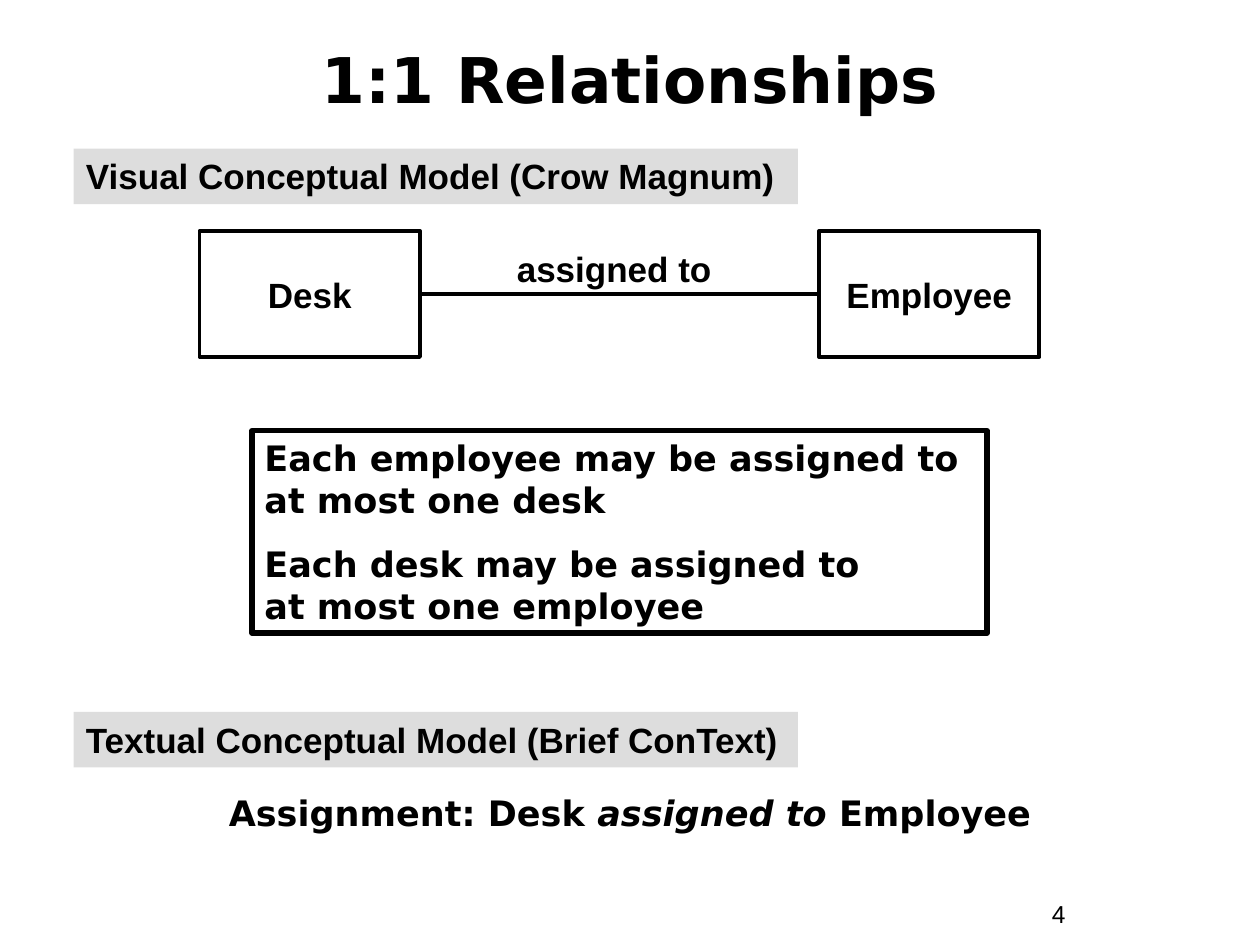
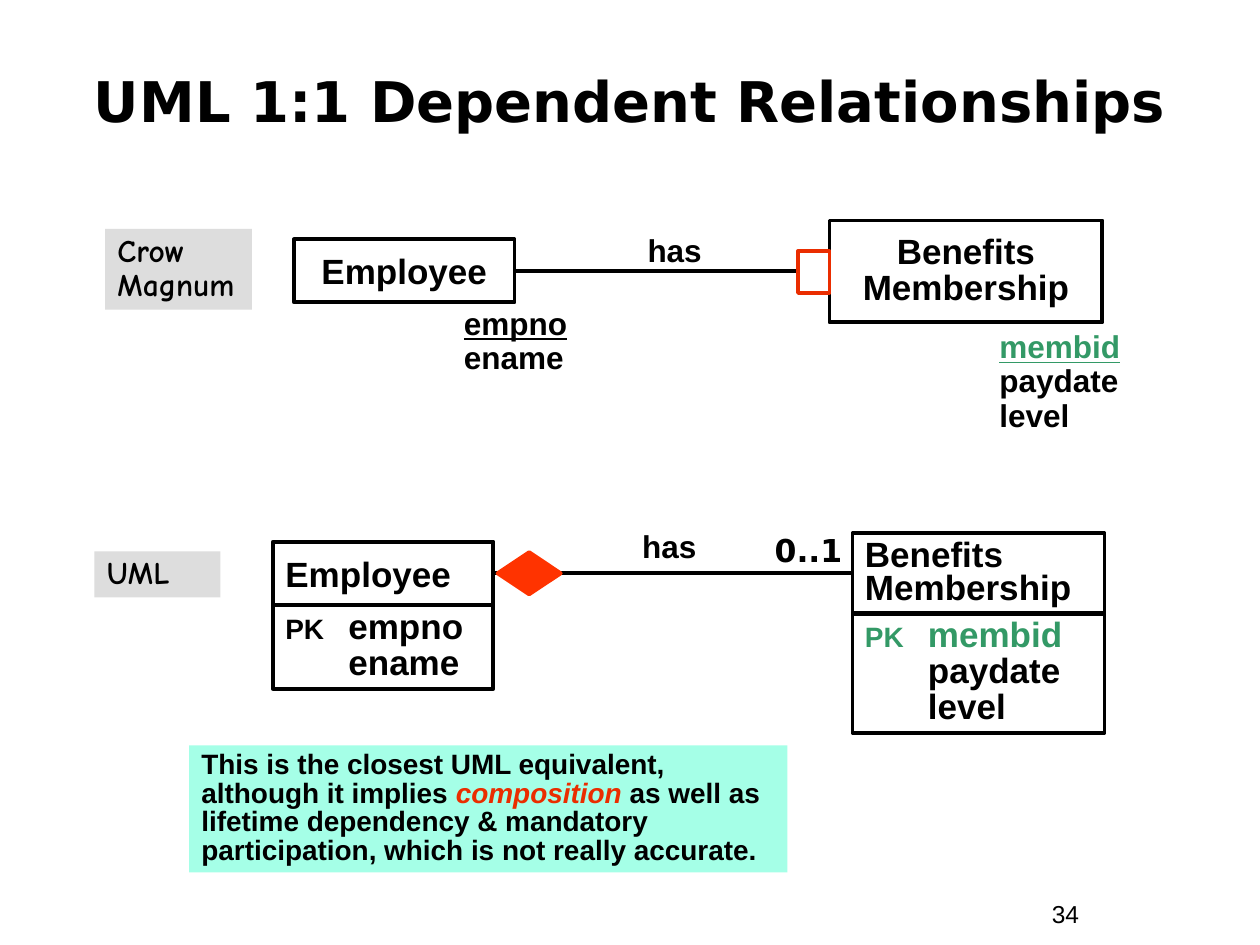
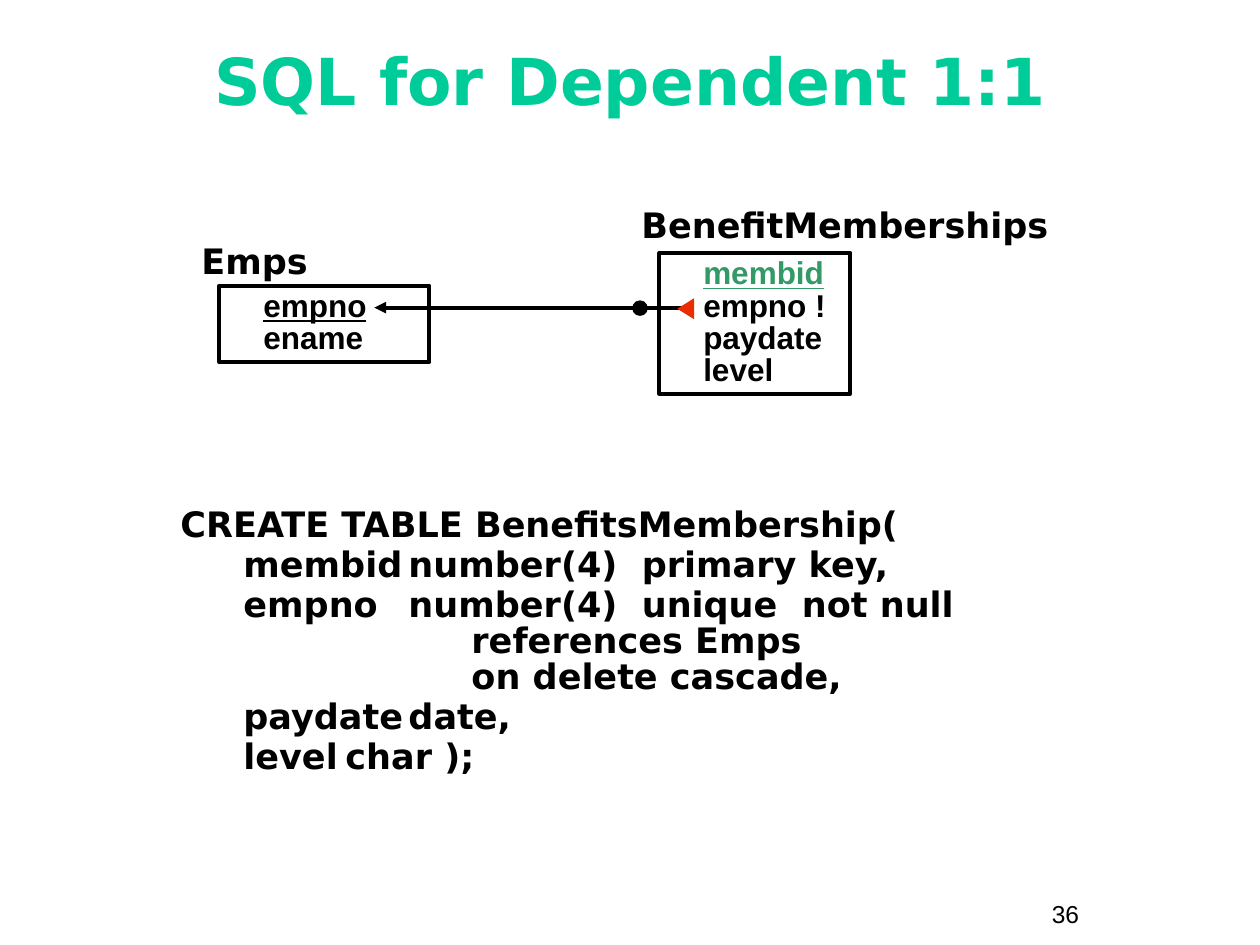
from dataclasses import dataclass
from typing import Optional, Sequence, Union

from lxml.etree import SubElement
from pptx import Presentation
from pptx.dml.color import RGBColor
from pptx.enum.shapes import MSO_CONNECTOR as Conn, MSO_SHAPE as Shape
from pptx.enum.text import MSO_ANCHOR as Anchor, MSO_AUTO_SIZE as Fit, PP_ALIGN as Align
from pptx.oxml.ns import qn
from pptx.util import Emu, Inches, Pt

WIDTH, HEIGHT = Inches(10), Inches(7.5)
COLS, ROWS = 120, 90
COLORS = {
    "black": "000000",
    "band": "DDDDDD",
    "note": "A5FFE7",
    "key": "339966",
    "accent": "EA2D00",
    "diamond": "FF3300",
    "heading": "00CC99",
}
SANS, HEAD, COMIC = "Arial", "DejaVu Sans", "Comic Neue"
LINE = 2.25


@dataclass(frozen=True)
class Box:
    """A rectangle in grid columns and rows."""
    col: float
    row: float
    cols: float
    rows: float

    def emu(self) -> tuple:
        """Return left, top, width and height."""
        return x(self.col), y(self.row), x(self.cols), y(self.rows)


@dataclass(frozen=True)
class Run:
    """A stretch of text that departs from its box's format."""
    text: str
    color: Optional[str] = None
    size: Optional[float] = None
    italic: bool = False
    underline: bool = False


Para = Union[str, Sequence[Union[str, Run]]]


def x(cols: float) -> Emu:
    """Convert grid columns to a length."""
    return Emu(round(WIDTH * cols / COLS))


def y(rows: float) -> Emu:
    """Convert grid rows to a length."""
    return Emu(round(HEIGHT * rows / ROWS))


def rgb(name: str) -> RGBColor:
    """Look up a named colour."""
    return RGBColor.from_string(COLORS[name])


def set_indent(p, left: float, first: float = 0) -> None:
    """Set a paragraph's left margin and first-line indent in inches."""
    pPr = p._p.get_or_add_pPr()
    pPr.set("marL", str(Inches(left)))
    pPr.set("indent", str(Inches(first)))


def set_tabs(p, stops: Sequence[float]) -> None:
    """Add left tab stops in inches."""
    tabs = SubElement(p._p.get_or_add_pPr(), qn("a:tabLst"))
    for stop in stops:
        SubElement(tabs, qn("a:tab"), pos=str(Inches(stop)), algn="l")


def write(sp, *paras: Para, size: float = 20, font: str = SANS, color: str = "black",
          bold: bool = True, align=Align.LEFT, anchor=Anchor.TOP, spacing: float = 1,
          before: float = 0, tabs: Sequence[float] = ()):
    """Fill a shape with formatted paragraphs and return its text frame."""
    tf = sp.text_frame
    tf.word_wrap, tf.auto_size, tf.vertical_anchor = True, Fit.NONE, anchor
    for i, para in enumerate(paras):
        p = tf.add_paragraph() if i else tf.paragraphs[0]
        p.alignment, p.line_spacing = align, spacing
        p.space_before = Pt(before if i else 0)
        if tabs:
            set_tabs(p, tabs)
        for part in [para] if isinstance(para, str) else para:
            run = Run(part) if isinstance(part, str) else part
            for n, piece in enumerate(run.text.split("\n")):
                if n:
                    p.add_line_break()
                if piece:
                    r = p.add_run()
                    r.text = piece
                    f = r.font
                    f.name, f.size, f.bold = font, Pt(run.size or size), bold
                    f.italic, f.underline = run.italic, run.underline
                    f.color.rgb = rgb(run.color or color)
    return tf


def add_text(s, box: Box, *paras: Para, **fmt):
    """Add a text box."""
    return write(s.shapes.add_textbox(*box.emu()), *paras, **fmt)


def add_panel(s, box: Box, *paras: Para, fill: Optional[str] = None,
              line: Optional[str] = None, weight: float = LINE,
              kind=Shape.RECTANGLE, rotation: float = 0, **fmt):
    """Add a preset shape with optional fill, outline and text."""
    sp = s.shapes.add_shape(kind, *box.emu())
    sp.shadow.inherit = False
    sp.rotation = rotation
    if fill:
        sp.fill.solid()
        sp.fill.fore_color.rgb = rgb(fill)
    else:
        sp.fill.background()
    if line:
        sp.line.color.rgb = rgb(line)
        sp.line.width = Pt(weight)
    else:
        sp.line.fill.background()
    return write(sp, *paras, **fmt) if paras else None


def add_entity(s, box: Box, name: str, **fmt) -> None:
    """Add an outlined box with an entity name."""
    add_panel(s, box, name, line="black", anchor=Anchor.MIDDLE,
              **{"align": Align.CENTER, **fmt})


def add_link(s, start: float, end: float, row: float, arrow: bool = False) -> None:
    """Add a horizontal relationship line."""
    c = s.shapes.add_connector(Conn.STRAIGHT, x(start), y(row), x(end), y(row))
    c.line.color.rgb = rgb("black")
    c.line.width = Pt(LINE)
    if arrow:
        SubElement(c.line._get_or_add_ln(), qn("a:tailEnd"), type="triangle")
    SubElement(c._element.spPr, qn("a:effectLst"))


def add_slide(prs, title: str, number: int, box: Box, **fmt):
    """Add a slide with its title and number."""
    s = prs.slides.add_slide(prs.slide_layouts[5])
    t = s.shapes.title
    t.left, t.top, t.width, t.height = box.emu()
    write(t, title, font=HEAD, align=Align.CENTER, anchor=Anchor.MIDDLE, **fmt)
    add_text(s, Box(99, 85, 11, 4), str(number), size=14, bold=False)
    return s


def one_to_one(prs) -> None:
    """Build the 1:1 relationships slide."""
    s = add_slide(prs, "1:1 Relationships", 4, Box(4, 2, 112, 11), size=36)
    for col, name in ((19, "Desk"), (78, "Employee")):
        add_entity(s, Box(col, 22, 21, 12), name)
    add_link(s, 40, 78, 28)
    add_text(s, Box(46, 23, 25, 5.3), "assigned to", align=Align.CENTER)
    add_panel(s, Box(24, 41, 70, 19.3),
              "Each employee may be assigned to at most one desk",
              "Each desk may be assigned to\nat most one employee",
              line="black", weight=3, font=HEAD, before=12.5)
    add_text(s, Box(11, 74.8, 98, 5.3),
             ["Assignment: Desk ", Run("assigned to", italic=True), " Employee"],
             font=HEAD, align=Align.CENTER)
    for row, label in ((14.15, "Visual Conceptual Model (Crow Magnum)"),
                       (67.8, "Textual Conceptual Model (Brief ConText)")):
        add_panel(s, Box(7, row, 69, 5.3), label, fill="band")


def uml_dependent(prs) -> None:
    """Build the slide comparing the two notations."""
    s = add_slide(prs, "UML 1:1 Dependent Relationships", 34, Box(4, 4, 112, 11), size=32)
    for box, label in ((Box(9, 52.5, 12, 4.4), "UML"),
                       (Box(10, 21.8, 14, 7.7), "Crow\nMagnum")):
        add_panel(s, box, label, fill="band", size=18, font=COMIC, spacing=0.9)

    add_entity(s, Box(28, 22.8, 21, 6), "Employee")
    add_entity(s, Box(79, 21, 26, 9.7), "Benefits\nMembership", spacing=0.85)
    add_link(s, 49, 76, 25.8)
    add_text(s, Box(53, 21.4, 22.5, 4.8), "has", size=18, align=Align.CENTER)
    add_text(s, Box(43, 28.8, 14, 7.7), [Run("empno", underline=True)], "ename",
             size=18, spacing=0.9)
    add_text(s, Box(94, 31, 14, 10.9), [Run("membid", color="key", underline=True)],
             "paydate", "level", size=18, spacing=0.9)
    add_panel(s, Box(76, 23.9, 3, 4), line="accent")

    add_entity(s, Box(26, 51.6, 21, 6), "Employee", align=Align.LEFT)
    add_entity(s, Box(81.2, 50.8, 24, 7.7), "Benefits\nMembership",
               align=Align.LEFT, spacing=0.8)
    add_link(s, 47, 81.2, 54.6)
    add_text(s, Box(56.2, 50.2, 15.1, 4.3), "has", size=18, align=Align.CENTER, spacing=0.85)
    add_text(s, Box(72, 50, 10, 4.8), "0..1", size=18, font=HEAD, align=Align.CENTER)
    attributes = {"line": "black", "spacing": 0.85, "tabs": [0.5]}
    add_panel(s, Box(26, 57.6, 21, 8), [Run("PK", size=16), "\tempno"], "\tename",
              **attributes)
    add_panel(s, Box(81.2, 58.4, 24, 11.4),
              [Run("PK\t", color="key", size=16), Run("membid", color="key")],
              "\tpaydate", "\tlevel", **attributes)
    add_panel(s, Box(48.4, 51.6, 4, 6), fill="diamond", line="diamond",
              kind=Shape.FLOWCHART_SORT, rotation=270)
    add_panel(s, Box(18, 71, 57, 12.1),
              ["This is the closest UML equivalent, although it implies ",
               Run("composition", color="accent", italic=True),
               " as well as lifetime dependency & mandatory participation, "
               "which is not really accurate."],
              fill="note", size=16, spacing=0.85)


def sql_dependent(prs) -> None:
    """Build the SQL slide."""
    s = add_slide(prs, "SQL for Dependent 1:1", 36, Box(4, 4.3, 112, 8),
                  size=37, color="heading", spacing=0.8)
    tf = add_text(s, Box(16, 47.9, 86, 30.5),
                  "CREATE TABLE BenefitsMembership(",
                  "membid\tnumber(4)  primary key,",
                  "empno\tnumber(4)  unique  not null\n"
                  "\t\t\treferences Emps\n\t\t\ton delete cascade,",
                  "paydate\tdate,",
                  "level\tchar );",
                  font=HEAD, spacing=0.85, before=2.5, tabs=range(1, 8))
    head, *columns = tf.paragraphs
    set_indent(head, 0.38, -0.38)
    for p in columns:
        set_indent(p, 0.81, -0.31)

    add_text(s, Box(18, 22.2, 25.8, 5.3), "Emps", font=HEAD)
    add_text(s, Box(59.9, 19.4, 46.2, 4.7), "BenefitMemberships", font=HEAD, spacing=0.85)
    tables = (
        (Box(20.9, 27.2, 20, 7.3), [[Run("empno\n", underline=True), "ename"]]),
        (Box(62.8, 24.1, 18.2, 13.4),
         [[Run("membid\n", color="key", underline=True), "empno !"], "paydate", "level"]),
    )
    for box, fields in tables:
        tf = add_panel(s, box, *fields, line="black", size=18, spacing=0.85)
        for p in tf.paragraphs:
            set_indent(p, 0.25)
    add_link(s, 66.1, 35.65, 29.3, arrow=True)
    add_panel(s, Box(60.4, 28.8, 1.1, 1.1), fill="black", line="black", kind=Shape.OVAL)
    add_panel(s, Box(64.3, 28.6, 2, 1.6), fill="accent",
              kind=Shape.ISOSCELES_TRIANGLE, rotation=270)


def main() -> None:
    """Build and save the presentation."""
    prs = Presentation()
    prs.slide_width, prs.slide_height = WIDTH, HEIGHT
    for build in (one_to_one, uml_dependent, sql_dependent):
        build(prs)
    prs.save("out.pptx")


if __name__ == "__main__":
    main()
